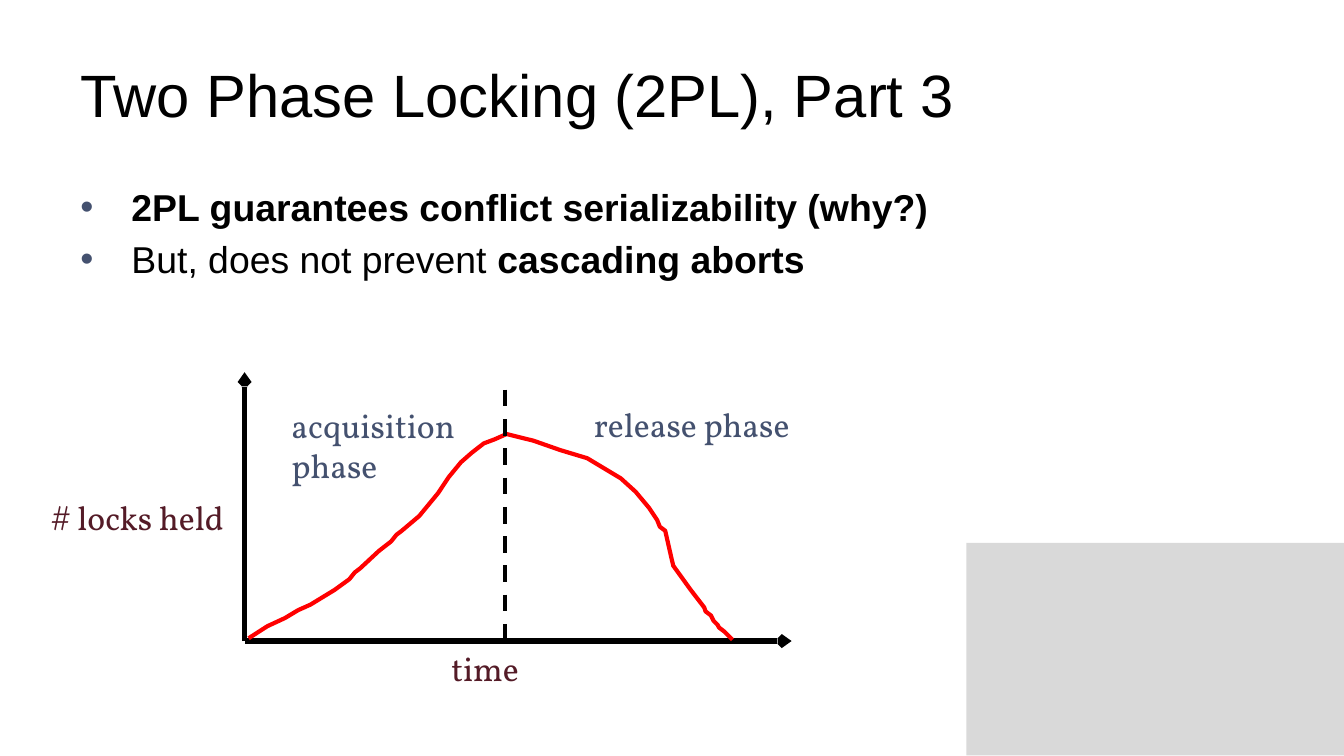
from lxml import etree
from pptx import Presentation
from pptx.dml.color import RGBColor
from pptx.enum import dml, shapes, text
from pptx.oxml import ns
from pptx.util import Inches, Pt

BLACK = RGBColor(0x00, 0x00, 0x00)
GREY = RGBColor(0xD9, 0xD9, 0xD9)
SLATE = RGBColor(0x44, 0x51, 0x6F)
WINE = RGBColor(0x54, 0x1B, 0x27)
RED = RGBColor(0xFF, 0x00, 0x00)

# Time and locks held, in inches from the origin of the axes
CURVE = [
    (0.03, 0.02), (0.17, 0.11), (0.3, 0.17), (0.4, 0.23), (0.49, 0.27),
    (0.67, 0.38), (0.78, 0.46), (0.82, 0.51), (0.86, 0.54), (1, 0.67),
    (1.09, 0.74), (1.13, 0.79), (1.17, 0.82), (1.3, 0.93), (1.44, 1.1),
    (1.52, 1.22), (1.61, 1.33), (1.69, 1.4), (1.78, 1.47), (1.86, 1.5),
    (1.95, 1.54), (2.15, 1.49), (2.35, 1.42), (2.55, 1.36), (2.8, 1.21),
    (2.91, 1.11), (3.01, 0.99), (3.07, 0.9), (3.09, 0.85), (3.13, 0.82),
    (3.18, 0.6), (3.19, 0.56), (3.32, 0.38), (3.42, 0.25), (3.43, 0.22),
    (3.47, 0.19), (3.49, 0.15), (3.52, 0.12), (3.53, 0.1), (3.57, 0.07),
    (3.63, 0.01),
]


def add_sub(parent, tag, **attrs):
    return etree.SubElement(parent, ns.qn(tag), attrs)


def add_run(par, words, size, font, color, bold=False):
    run = par.add_run()
    run.text = words
    run.font.size = Pt(size)
    run.font.name = font
    run.font.color.rgb = color
    run.font.bold = bold


def add_box(slide, left, top, width, height, wrap=True):
    box = slide.shapes.add_textbox(
        Inches(left), Inches(top), Inches(width), Inches(height))
    box.text_frame.word_wrap = wrap
    return box.text_frame


def add_label(slide, words, color, left, top, width, height=0.4, wrap=False):
    frame = add_box(slide, left, top, width, height, wrap)
    add_run(frame.paragraphs[0], words, 18, "Vollkorn", color)


def add_line(slide, start, end, width, arrow=False, dash=False):
    line = slide.shapes.add_connector(
        shapes.MSO_CONNECTOR.STRAIGHT, *map(Inches, start + end))
    line.line.color.rgb = BLACK
    line.line.width = Pt(width)
    if dash:
        line.line.dash_style = dml.MSO_LINE.DASH
    if arrow:
        add_sub(line.line._get_or_add_ln(), "a:tailEnd",
                type="arrow", w="sm", len="sm")
    add_sub(line._element.spPr, "a:effectLst")


def add_panel(slide, left, top, width, height):
    panel = slide.shapes.add_shape(
        shapes.MSO_SHAPE.RECTANGLE,
        Inches(left), Inches(top), Inches(width), Inches(height))
    panel.shadow.inherit = False
    panel.fill.solid()
    panel.fill.fore_color.rgb = GREY
    panel.line.fill.background()


def add_title(slide, left, top, width, height):
    frame = add_box(slide, left, top, width, height)
    frame.vertical_anchor = text.MSO_ANCHOR.MIDDLE
    add_run(frame.paragraphs[0], "Two Phase Locking (2PL), Part 3",
            32, "Arial", BLACK)


def add_points(slide, left, top, width, height):
    points = [
        [("2PL guarantees conflict serializability (why?)", True)],
        [("But, does not prevent ", False), ("cascading aborts", True)],
    ]
    frame = add_box(slide, left, top, width, height)
    for i, runs in enumerate(points):
        par = frame.add_paragraph() if i else frame.paragraphs[0]
        props = par._p.get_or_add_pPr()
        props.set("marL", str(Inches(0.38)))
        props.set("indent", str(-Inches(0.38)))
        add_sub(add_sub(props, "a:buClr"), "a:srgbClr", val=str(SLATE))
        add_sub(props, "a:buFont", typeface="Arial")
        add_sub(props, "a:buChar", char="•")
        if i:
            par.space_before = Pt(4)
        for words, bold in runs:
            add_run(par, words, 20, "Arial", BLACK, bold)


def add_curve(slide, left, base):
    spots = [(Inches(left + x), Inches(base - y)) for x, y in CURVE]
    build = slide.shapes.build_freeform(*spots[0])
    build.add_line_segments(spots[1:], close=False)
    curve = build.convert_to_shape()
    curve.shadow.inherit = False
    curve.fill.background()
    curve.line.color.rgb = RED
    curve.line.width = Pt(2.25)


def add_graph(slide, left, top, width, height):
    """Draw the lock graph; the box is the area spanned by its axes."""
    base = top + height
    peak = left + 1.94
    add_line(slide, (left, base), (left + width, base), 3, arrow=True)
    add_label(slide, "time", WINE, left + 1.44, base, 0.7)
    add_line(slide, (left, base), (left, top), 3, arrow=True)
    add_label(slide, "# locks held", WINE, left - 1.54, top + 0.88, 1.55)
    add_curve(slide, left, base)
    add_label(slide, "release phase", SLATE, left + 2.5, top + 0.19, 1.69)
    add_label(slide, "acquisition phase", SLATE,
              left + 0.25, top + 0.19, 1.62, 0.71, wrap=True)
    add_line(slide, (peak, top + 0.13), (peak, base), 2.25, dash=True)


def main():
    deck = Presentation()
    deck.slide_width = Inches(10)
    deck.slide_height = deck.slide_width * 9 // 16
    slide = deck.slides.add_slide(deck.slide_layouts[6])
    add_panel(slide, 7.19, 4.04, 2.81, 1.58)
    add_title(slide, 0.5, 0.23, 9, 0.94)
    add_points(slide, 0.5, 1.32, 9, 3.7)
    add_graph(slide, 1.82, 2.77, 4.07, 2)
    deck.save("out.pptx")


if __name__ == "__main__":
    main()
